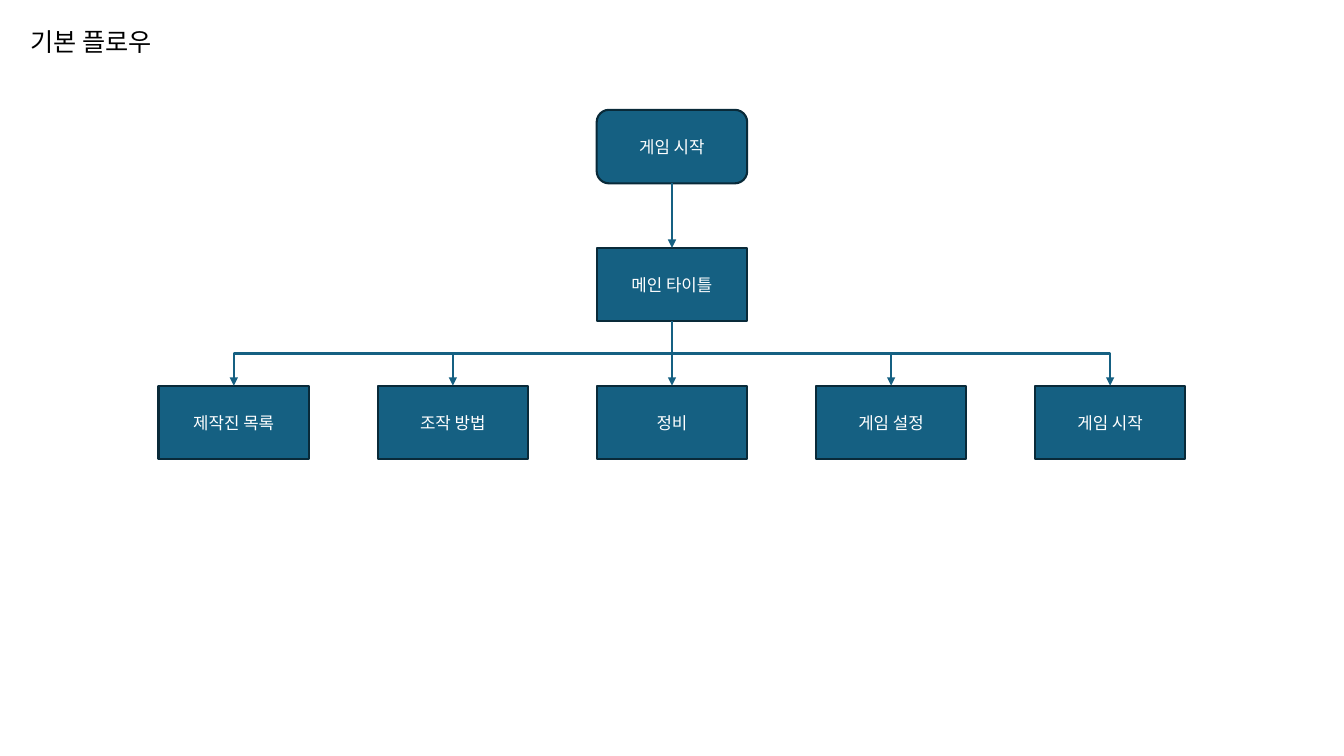
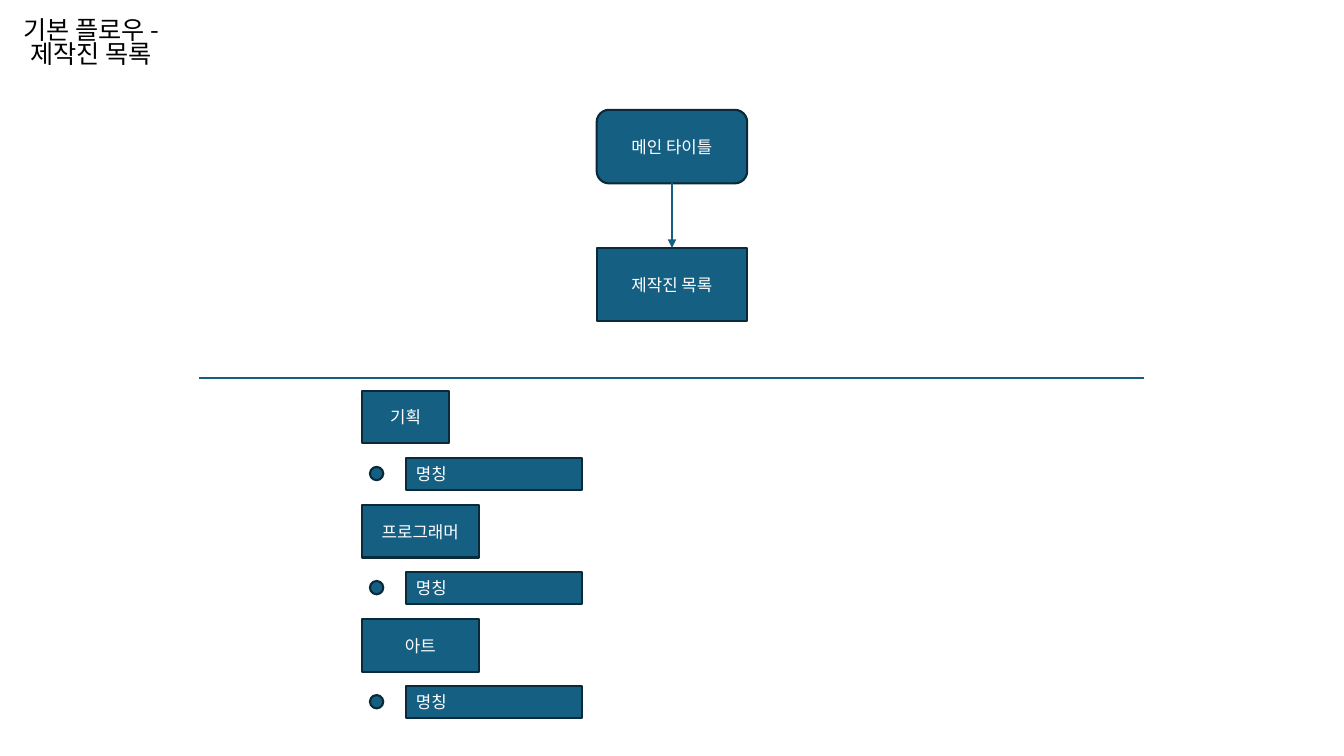
from lxml.etree import SubElement
from pptx import Presentation
from pptx.dml.color import RGBColor
from pptx.enum.shapes import MSO_CONNECTOR as Link, MSO_SHAPE as Preset
from pptx.enum.text import MSO_ANCHOR as Anchor, MSO_AUTO_SIZE as AutoSize, PP_ALIGN as Align
from pptx.oxml.ns import qn
from pptx.util import Pt

FONT = "Noto Sans CJK KR"
BLUE, NAVY, WHITE, BLACK = "156082", "092A39", "FFFFFF", "000000"
CENTER = 480
BOX_W, BOX_H = 107.5, 52.5
ROW_TOP, ROW_STEP = 78.5, 98.5
COLUMN_STEP = 156.5


def add_box(page, preset, left, top, width, height, text="", align=Align.CENTER):
    box = page.shapes.add_shape(preset, Pt(left), Pt(top), Pt(width), Pt(height))
    box.shadow.inherit = False
    box.fill.solid()
    box.fill.fore_color.rgb = RGBColor.from_string(BLUE)
    box.line.color.rgb = RGBColor.from_string(NAVY)
    box.line.width = Pt(1.5)
    if text:
        write(box, text, 12, WHITE, align)
    return box


def write(box, text, size, color, align):
    frame = box.text_frame
    frame.text = text
    frame.word_wrap = True
    frame.vertical_anchor = Anchor.MIDDLE
    para = frame.paragraphs[0]
    para.alignment = align
    span = para.runs[0]
    span.font.size = Pt(size)
    span.font.color.rgb = RGBColor.from_string(color)
    span.font.name = FONT
    SubElement(span.font._element, qn("a:ea"), typeface=FONT)


deck = Presentation()
deck.slide_width, deck.slide_height = Pt(960), Pt(540)
flows = [
    ("기본 플로우", "게임 시작", "메인 타이틀"),
    ("기본 플로우 -제작진 목록", "메인 타이틀", "제작진 목록"),
]
pages, screens, arrows, lines = [], [], [], []

for title_text, start_text, screen_text in flows:
    page = deck.slides.add_slide(deck.slide_layouts[5])
    title = page.shapes.title
    title.left, title.top, title.width, title.height = Pt(0), Pt(0), Pt(130), Pt(63)
    write(title, title_text, 18, BLACK, Align.CENTER)
    title.text_frame.auto_size = AutoSize.NONE
    title.text_frame.paragraphs[0].line_spacing = 0.82

    left = CENTER - BOX_W / 2
    start = add_box(page, Preset.ROUNDED_RECTANGLE, left, ROW_TOP, BOX_W, BOX_H, start_text)
    screen = add_box(page, Preset.RECTANGLE, left, ROW_TOP + ROW_STEP, BOX_W, BOX_H, screen_text)
    arrow = page.shapes.add_connector(Link.STRAIGHT, 0, 0, 0, 0)
    arrow.begin_connect(start, 2)
    arrow.end_connect(screen, 0)
    pages.append(page)
    screens.append(screen)
    arrows.append(arrow)

menu_page, credits_page = pages
menu_top = ROW_TOP + 2 * ROW_STEP
drop = ROW_STEP - BOX_H
drop_middle = menu_top - drop / 2
menu = ["제작진 목록", "조작 방법", "정비", "게임 설정", "게임 시작"]
for column, text in enumerate(menu):
    offset = (column - 2) * COLUMN_STEP
    item = add_box(menu_page, Preset.RECTANGLE, CENTER + offset - BOX_W / 2, menu_top, BOX_W, BOX_H, text)
    kind = Link.ELBOW if offset else Link.STRAIGHT
    arrow = menu_page.shapes.add_connector(kind, 0, 0, 0, 0)
    arrow.begin_connect(screens[0], 2)
    arrow.end_connect(item, 0)
    if offset:
        arrow.left = Pt(CENTER + offset / 2 - drop / 2)
        arrow.top = Pt(drop_middle - abs(offset) / 2)
        arrow.width, arrow.height = Pt(drop), Pt(abs(offset))
        turn = arrow._element.spPr.xfrm
        turn.rot = 270 if offset > 0 else 90
        turn.flipH = offset > 0
        turn.flipV = False
    arrows.append(arrow)

divider = credits_page.shapes.add_connector(Link.STRAIGHT, Pt(142.5), Pt(270), Pt(817.5), Pt(270))
lines = arrows + [divider]
for line in lines:
    line.line.color.rgb = RGBColor.from_string(BLUE)
    line.line.width = Pt(1.5)
    SubElement(line._element.spPr, qn("a:effectLst"))
for arrow in arrows:
    SubElement(arrow.line._get_or_add_ln(), qn("a:tailEnd"), type="triangle")

teams = [("기획", 62.5), ("프로그래머", 83.5), ("아트", 83.5)]
for row, (team, width) in enumerate(teams):
    top = 279.25 + row * 81.5
    add_box(credits_page, Preset.RECTANGLE, 258.5, top, width, 37.5, team)
    add_box(credits_page, Preset.OVAL, 264.25, top + 54.25, 9.5, 9.5)
    add_box(credits_page, Preset.RECTANGLE, 290, top + 48, 125.5, 22.5, "명칭", Align.LEFT)

deck.save("out.pptx")
